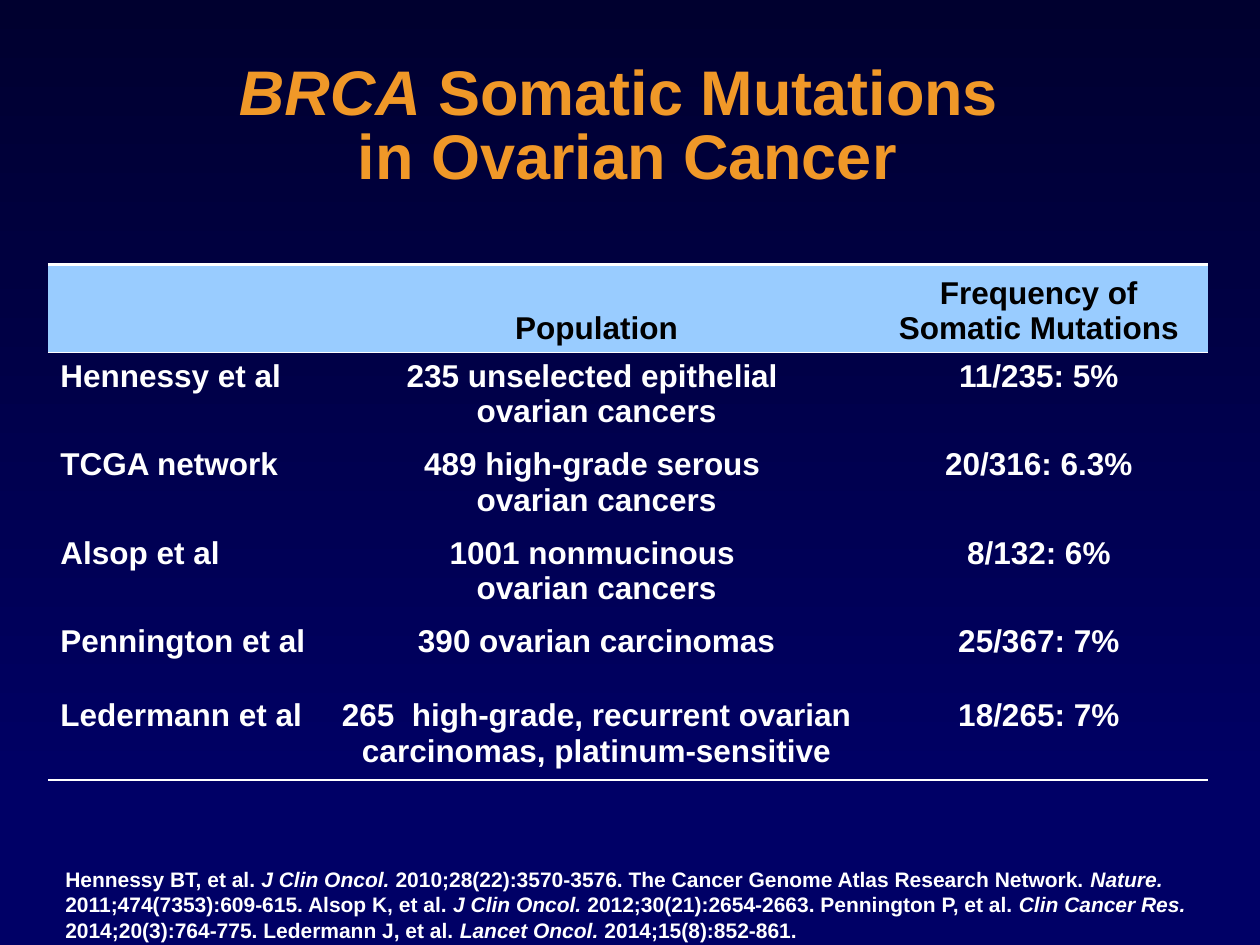
from lxml.etree import SubElement
from pptx import Presentation
from pptx.dml.color import RGBColor
from pptx.enum.shapes import MSO_SHAPE
from pptx.enum.text import MSO_ANCHOR, PP_ALIGN
from pptx.oxml import parse_xml
from pptx.oxml.ns import nsdecls, qn
from pptx.util import Inches, Pt

NAVY = RGBColor(0x00, 0x00, 0x66)
MIDNIGHT = RGBColor(0x00, 0x00, 0x2F)
ORANGE = RGBColor(0xF0, 0x98, 0x28)
SKY = RGBColor(0x99, 0xCC, 0xFF)
WHITE = RGBColor(0xFF, 0xFF, 0xFF)
BLACK = RGBColor(0x00, 0x00, 0x00)

THICK, THIN = 1.5, 0.45
COL_WIDTHS = [2.19, 4.33, 2.69]
ROW_HEIGHTS = [0.7, 0.7, 0.7, 0.7, 0.59, 0.7]
ROWS = [
    ["", "Population", "Frequency of Somatic Mutations"],
    ["Hennessy et al", "235 unselected epithelial \novarian cancers", "11/235: 5%"],
    ["TCGA network", "489 high-grade serous \novarian cancers", "20/316: 6.3%"],
    ["Alsop et al", "1001 nonmucinous \novarian cancers", "8/132: 6%"],
    ["Pennington et al", "390 ovarian carcinomas", "25/367: 7%"],
    ["Ledermann et al",
     "265  high-grade, recurrent ovarian carcinomas, platinum-sensitive", "18/265: 7%"],
]
TITLE = [("BRCA", True), (" Somatic Mutations \nin Ovarian Cancer", False)]
REFERENCES = [
    ("Hennessy BT, et al. ", False),
    ("J Clin Oncol. ", True),
    ("2010;28(22):3570-3576. The Cancer Genome Atlas Research Network. ", False),
    ("Nature. ", True),
    ("2011;474(7353):609-615. Alsop K, et al. ", False),
    ("J Clin Oncol. ", True),
    ("2012;30(21):2654-2663. Pennington P, et al. ", False),
    ("Clin Cancer Res. ", True),
    ("2014;20(3):764-775. Ledermann J, et al. ", False),
    ("Lancet Oncol.", True),
    (" 2014;15(8):852-861.", False),
]


def add_runs(p, runs, size, color):
    """Add bold (text, italic) runs, turning newlines into line breaks."""
    p.font.size = Pt(size)
    for text, italic in runs:
        for i, line in enumerate(text.split("\n")):
            if i:
                p.add_line_break()
            r = p.add_run()
            r.text = line
            r.font.name = "Arial"
            r.font.size = Pt(size)
            r.font.bold = True
            r.font.italic = italic
            r.font.color.rgb = color


def add_text_shadow(r):
    """Give a run a small black drop shadow."""
    effect = parse_xml(
        f'<a:effectLst {nsdecls("a")}><a:outerShdw dist="38100" dir="2700000">'
        '<a:srgbClr val="000000"/></a:outerShdw></a:effectLst>')
    r.font._element.find(qn("a:solidFill")).addnext(effect)


def add_text(s, box, runs, size, color):
    """Place a wrapping text box and return its frame."""
    tf = s.shapes.add_textbox(*map(Inches, box)).text_frame
    tf.word_wrap = True
    add_runs(tf.paragraphs[0], runs, size, color)
    return tf


def add_background(s, box):
    """Fill the slide navy and fade the given box from midnight."""
    s.background.fill.solid()
    s.background.fill.fore_color.rgb = NAVY
    sp = s.shapes.add_shape(MSO_SHAPE.RECTANGLE, *map(Inches, box))
    sp.shadow.inherit = False
    sp.line.fill.background()
    sp.fill.gradient()
    sp.fill.gradient_angle = 270
    for stop, color, position in zip(sp.fill.gradient_stops, (MIDNIGHT, NAVY), (0, 1)):
        stop.color.rgb = color
        stop.position = position


def add_title(s, box):
    """Place the centred, shadowed title."""
    tf = add_text(s, box, TITLE, 36, ORANGE)
    tf.vertical_anchor = MSO_ANCHOR.MIDDLE
    p = tf.paragraphs[0]
    p.alignment = PP_ALIGN.CENTER
    p.line_spacing = 0.85
    for r in p.runs:
        add_text_shadow(r)


def set_borders(cell, top, bottom):
    """Draw white top and bottom borders of the given widths, none where 0."""
    tcPr = cell._tc.get_or_add_tcPr()
    for tag, width in (("lnL", 0), ("lnR", 0), ("lnT", top), ("lnB", bottom)):
        ln = SubElement(tcPr, qn(f"a:{tag}"), w=str(Pt(width)))
        if width:
            fill = SubElement(ln, qn("a:solidFill"))
            SubElement(fill, qn("a:srgbClr"), val=str(WHITE))
        else:
            SubElement(ln, qn("a:noFill"))


def add_mutation_table(s, box):
    """Place the table of studies, populations and frequencies."""
    table = s.shapes.add_table(len(ROWS), len(COL_WIDTHS), *map(Inches, box)).table
    table.first_row = table.horz_banding = False
    for col, width in zip(table.columns, COL_WIDTHS):
        col.width = Inches(width)
    for row, height in zip(table.rows, ROW_HEIGHTS):
        row.height = Inches(height)
    tops = [THICK, THIN] + [0] * (len(ROWS) - 2)
    bottoms = tops[1:] + [THICK]
    for i, texts in enumerate(ROWS):
        for j, text in enumerate(texts):
            cell = table.cell(i, j)
            set_borders(cell, tops[i], bottoms[i])
            if i == 0:
                cell.fill.solid()
                cell.fill.fore_color.rgb = SKY
                cell.vertical_anchor = MSO_ANCHOR.BOTTOM
            else:
                cell.fill.background()
            p = cell.text_frame.paragraphs[0]
            p.alignment = PP_ALIGN.CENTER if j else PP_ALIGN.LEFT
            if text:
                add_runs(p, [(text, False)], 18, WHITE if i else BLACK)


def main():
    """Build and save the slide."""
    prs = Presentation()
    prs.slide_width, prs.slide_height = Inches(10), Inches(7.5)
    s = prs.slides.add_slide(prs.slide_layouts[6])
    add_background(s, (0, 0, 10, 6.42))
    add_title(s, (0.35, 0.39, 9.26, 1.25))
    add_mutation_table(s, (0.38, 2.1, 9.2, 4.1))
    add_text(s, (0.42, 6.83, 9.87, 0.7), REFERENCES, 12, WHITE)
    prs.save("out.pptx")


if __name__ == "__main__":
    main()
